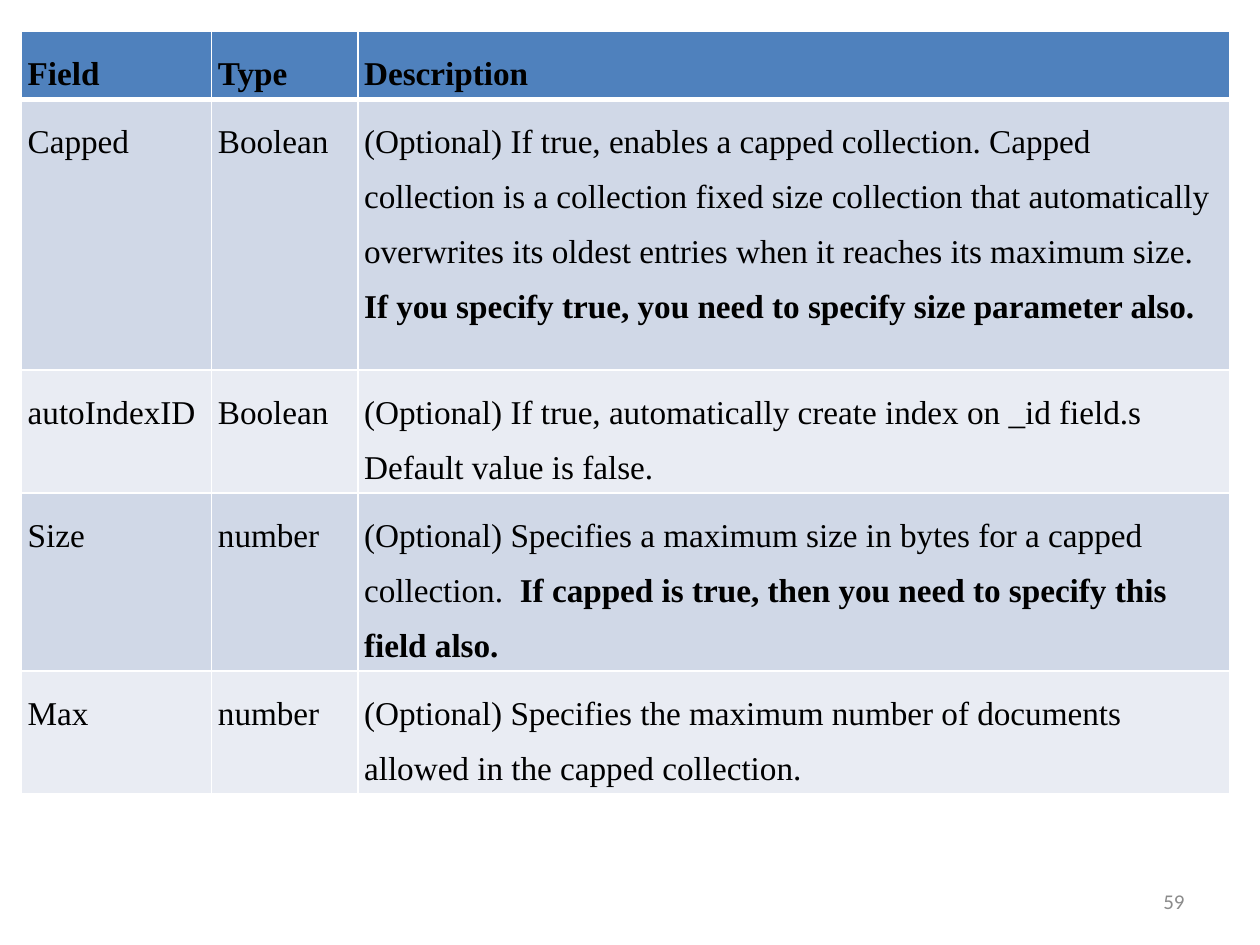
from lxml import etree
from pptx import Presentation, util as u
from pptx.dml import color
from pptx.enum import text
from pptx.oxml import ns

SERIF = {"name": "Times New Roman", "size": u.Pt(19)}
NUMBER = {"name": "Calibri", "size": u.Pt(12)}
WHITE, BLACK, GREY = "FFFFFF", "000000", "8B8B8B"
HEADER, BANDS = "4F81BD", ("D0D8E7", "E9ECF3")
THIN, THICK = 0.96, 3
WIDTHS = (1.51, 1.16, 6.92)
HEIGHTS = (0.4, 2.15, 0.83, 1.27, 0.83)
ROWS = (
    ("Field", "Type", ("", "Description")),
    ("Capped", "Boolean", (
        "(Optional) If true, enables a capped collection. Capped collection is a "
        "collection fixed size collection that automatically overwrites its oldest "
        "entries when it reaches its maximum size. ",
        "If you specify true, you need to specify size parameter also.")),
    ("autoIndexID", "Boolean", (
        "(Optional) If true, automatically create index on _id field.s "
        "Default value is false.",)),
    ("Size", "number", (
        "(Optional) Specifies a maximum size in bytes for a capped collection.  ",
        "If capped is true, then you need to specify this field also.")),
    ("Max", "number", (
        "(Optional) Specifies the maximum number of documents allowed in the "
        "capped collection.",)),
)


def rgb(value):
    """Turn a hex string into a colour."""
    return color.RGBColor.from_string(value)


def apply(target, values):
    """Set each attribute in a dict on the target."""
    for name, value in values.items():
        setattr(target, name, value)


class Page:
    """Hold the current slide and its drawing style."""

    def __init__(self, deck):
        """Start a blank slide."""
        self.slide = deck.slides.add_slide(deck.slide_layouts[6])

    def span(self, para, words, style, ink, bold=False):
        """Add one formatted run."""
        run = para.add_run()
        run.text = words
        apply(run.font, {**style, "bold": bold})
        run.font.color.rgb = rgb(ink)

    def border(self, cell, sides):
        """Draw white cell edges of the given point widths."""
        props = cell._tc.get_or_add_tcPr()
        for side, width in sides.items():
            line = etree.SubElement(props, ns.qn(f"a:ln{side}"), w=str(int(u.Pt(width))))
            fill = etree.SubElement(line, ns.qn("a:solidFill"))
            etree.SubElement(fill, ns.qn("a:srgbClr"), val=WHITE)

    def cell(self, cell, spans, index):
        """Fill and format one cell of the given row."""
        margins = ("margin_left", "margin_right", "margin_top", "margin_bottom")
        apply(cell, dict.fromkeys(margins, u.Inches(0.05)))
        self.border(cell, {"L": THIN, "R": THIN,
                           "T": THICK if index == 1 else THIN,
                           "B": THICK if index == 0 else THIN})
        cell.fill.solid()
        cell.fill.fore_color.rgb = rgb(BANDS[(index - 1) % 2] if index else HEADER)
        para = cell.text_frame.paragraphs[0]
        para.line_spacing = 1.5
        for place, words in enumerate(spans):
            if words:
                self.span(para, words, SERIF, BLACK, index == 0 or place == 1)

    def table(self, rows, left, top, width, height):
        """Add the table of fields."""
        frame = self.slide.shapes.add_table(
            len(rows), len(WIDTHS), *map(u.Inches, (left, top, width, height)))
        table = frame.table
        for column, size in zip(table.columns, WIDTHS):
            column.width = u.Inches(size)
        for index, (row, size, values) in enumerate(zip(table.rows, HEIGHTS, rows)):
            row.height = u.Inches(size)
            for cell, value in zip(row.cells, values):
                self.cell(cell, (value,) if isinstance(value, str) else value, index)
        frame.height = u.Inches(height)

    def number(self, words, *place):
        """Add the right-aligned page number."""
        box = self.slide.shapes.add_textbox(*map(u.Inches, place))
        apply(box.text_frame, {"word_wrap": True,
                               "vertical_anchor": text.MSO_ANCHOR.MIDDLE})
        para = box.text_frame.paragraphs[0]
        para.alignment = text.PP_ALIGN.RIGHT
        self.span(para, words, NUMBER, GREY)


def main():
    """Build and save the deck."""
    deck = Presentation()
    apply(deck, {"slide_width": u.Inches(10), "slide_height": u.Inches(7.5)})
    page = Page(deck)
    page.table(ROWS, 0.17, 0.25, 9.58, 6.67)
    page.number("59", 7.17, 6.95, 2.33, 0.4)
    deck.save("out.pptx")


if __name__ == "__main__":
    main()
